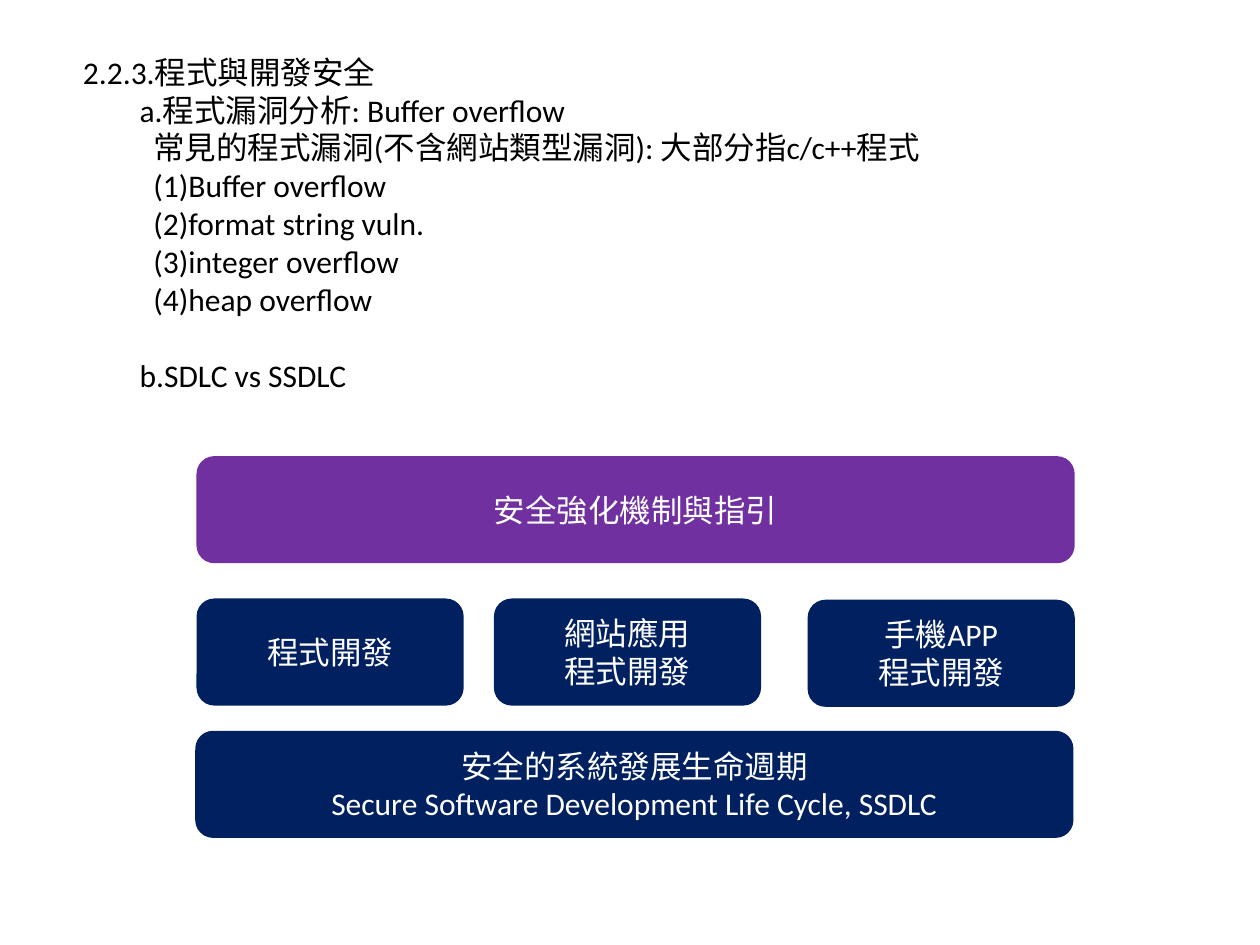
from pptx import Presentation
from pptx.dml.color import RGBColor
from pptx.enum.shapes import MSO_SHAPE as SHAPE
from pptx.enum.text import MSO_ANCHOR as ANCHOR, MSO_AUTO_SIZE as AUTO, PP_ALIGN as ALIGN
from pptx.util import Inches, Pt

NAVY, PURPLE, WHITE, BLACK = "002060", "7030A0", "FFFFFF", "000000"
INDENTS = [0, 0.45, 0.56]
OUTLINE = [
    (0, "2.2.3.程式與開發安全", 0),
    (1, "a.程式漏洞分析: Buffer overflow", 0),
    (2, "常見的程式漏洞(不含網站類型漏洞): 大部分指c/c++程式", 0),
    (2, "(1)Buffer overflow", 0),
    (2, "(2)format string vuln.", 0),
    (2, "(3)integer overflow", 0),
    (2, "(4)heap overflow", 0),
    (1, "b.SDLC vs SSDLC", 22),
]
WIDE, NARROW, HEIGHT = 6.97, 2.12, 0.85
BLOCKS = [
    (1.56, 4.75, NARROW, NAVY, ["程式開發"]),
    (3.92, 4.75, NARROW, NAVY, ["網站應用", "程式開發"]),
    (6.41, 4.76, NARROW, NAVY, ["手機APP", "程式開發"]),
    (1.55, 5.8, WIDE, NAVY, ["安全的系統發展生命週期", "Secure Software Development Life Cycle, SSDLC"]),
    (1.56, 3.62, WIDE, PURPLE, ["安全強化機制與指引"]),
]


def rgb(value):
    return RGBColor.from_string(value)


def write(tf, lines, color):
    tf.word_wrap = True
    tf.text = "\n".join(lines)
    for p in tf.paragraphs:
        for r in p.runs:
            r.font.name, r.font.size = "Calibri", Pt(18)
            r.font.color.rgb = rgb(color)


def add_outline(slide):
    tf = slide.shapes.add_textbox(Inches(0.56), Inches(0.37), Inches(8.32), Inches(2.83)).text_frame
    write(tf, [text for _, text, _ in OUTLINE], BLACK)
    tf.auto_size = AUTO.SHAPE_TO_FIT_TEXT
    for p, (level, _, gap) in zip(tf.paragraphs, OUTLINE):
        pPr = p._p.get_or_add_pPr()
        pPr.set("marL", str(Inches(INDENTS[level])))
        pPr.set("indent", "0")
        p.space_before = Pt(gap)


def add_block(slide, left, top, width, color, lines):
    sp = slide.shapes.add_shape(SHAPE.ROUNDED_RECTANGLE, Inches(left), Inches(top), Inches(width), Inches(HEIGHT))
    sp.shadow.inherit = False
    sp.fill.solid()
    sp.fill.fore_color.rgb = rgb(color)
    sp.line.fill.background()
    write(sp.text_frame, lines, WHITE)
    sp.text_frame.vertical_anchor = ANCHOR.MIDDLE
    for p in sp.text_frame.paragraphs:
        p.alignment = ALIGN.CENTER


def main():
    """Build the program and development security slide."""
    prs = Presentation()
    prs.slide_width, prs.slide_height = Inches(10), Inches(7.5)
    slide = prs.slides.add_slide(prs.slide_layouts[6])
    add_outline(slide)
    for block in BLOCKS:
        add_block(slide, *block)
    prs.save("out.pptx")


if __name__ == "__main__":
    main()
